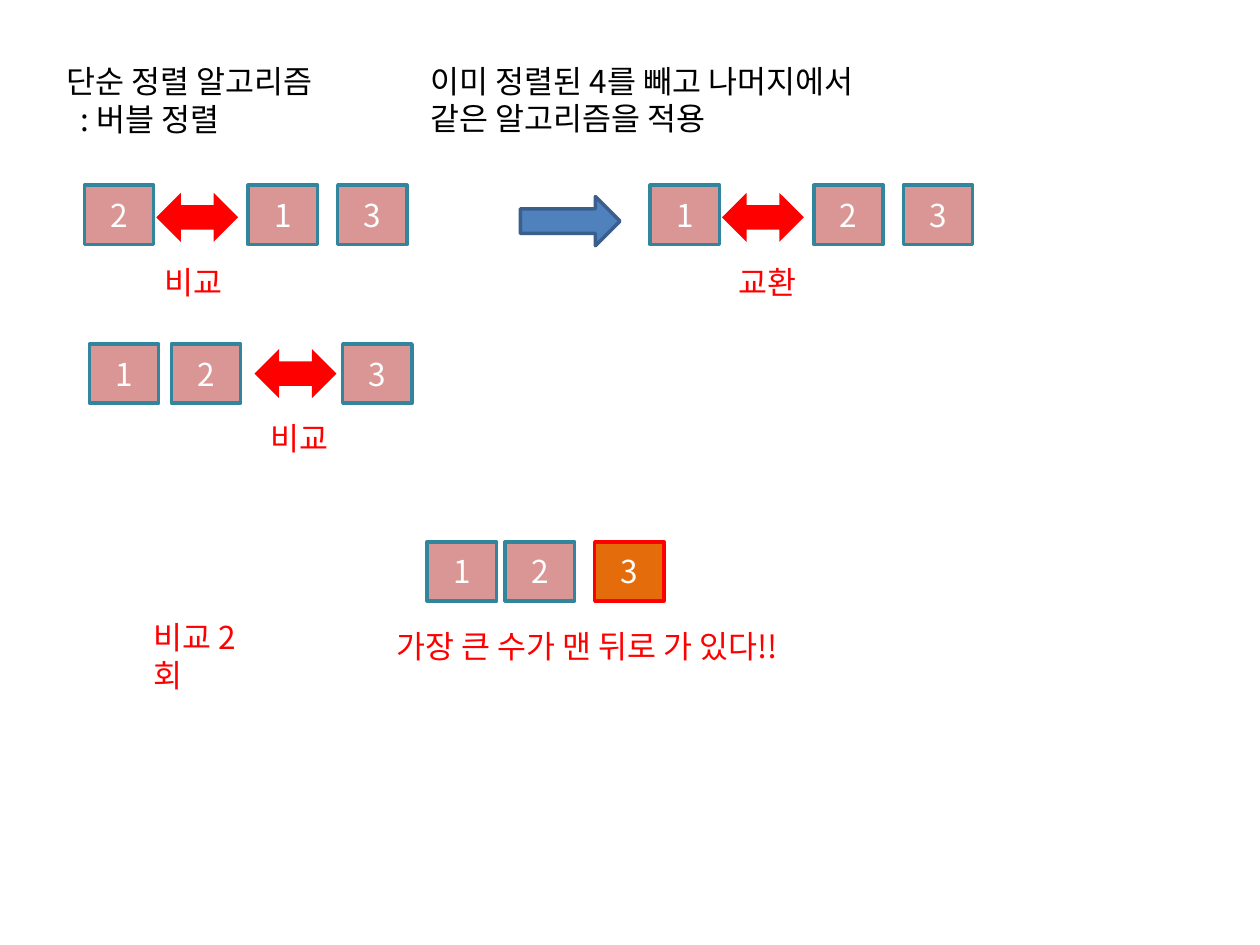
from lxml.etree import SubElement
from pptx import Presentation
from pptx.dml.color import RGBColor
from pptx.enum.shapes import MSO_SHAPE
from pptx.enum.text import MSO_ANCHOR, MSO_AUTO_SIZE, PP_ALIGN
from pptx.oxml.ns import qn
from pptx.util import Inches, Pt

FONT = "Noto Sans CJK KR"
BLACK = RGBColor(0x00, 0x00, 0x00)
WHITE = RGBColor(0xFF, 0xFF, 0xFF)
RED = RGBColor(0xFF, 0x00, 0x00)
PINK = RGBColor(0xD9, 0x96, 0x94)
TEAL = RGBColor(0x31, 0x85, 0x9C)
ORANGE = RGBColor(0xE4, 0x6C, 0x0A)
BLUE = RGBColor(0x4F, 0x81, 0xBD)
NAVY = RGBColor(0x3A, 0x5F, 0x8C)

CELL_WIDTH, CELL_HEIGHT = 0.55, 0.47
SWAP_WIDTH, ARROW_HEIGHT = 0.65, 0.39
LABEL_WIDTH, LINE_HEIGHT, HEADING_HEIGHT = 0.71, 0.4, 0.71
HEADING_TOP, FIRST_TOP, SECOND_TOP, RESULT_TOP = 0.44, 1.47, 2.73, 4.3


def write(frame, lines, color, align=PP_ALIGN.LEFT, anchor=MSO_ANCHOR.TOP):
    """Fill a text frame with one paragraph per line."""
    frame.word_wrap = True
    frame.auto_size = MSO_AUTO_SIZE.NONE
    frame.vertical_anchor = anchor
    for index, line in enumerate(lines):
        para = frame.add_paragraph() if index else frame.paragraphs[0]
        para.alignment = align
        span = para.add_run()
        span.text = line
        span.font.name = FONT
        span.font.size = Pt(18)
        span.font.color.rgb = color
        SubElement(span.font._element, qn("a:ea"), typeface=FONT)


def add_title(slide, lines):
    """Place the slide title at the top left, its second line indented."""
    title = slide.shapes.title
    title.left, title.top = Inches(0.43), Inches(HEADING_TOP)
    title.width, title.height = Inches(2.4), Inches(HEADING_HEIGHT)
    write(title.text_frame, lines, BLACK)
    properties = title.text_frame.paragraphs[1]._p.get_or_add_pPr()
    properties.set("marL", str(Inches(0.11)))


def add_text(slide, left, top, width, lines, color=RED, height=LINE_HEIGHT):
    """Add a left-aligned text box."""
    box = slide.shapes.add_textbox(Inches(left), Inches(top), Inches(width), Inches(height))
    write(box.text_frame, lines, color)


def add_block(slide, kind, left, top, width, height, fill, line=None):
    """Add a filled preset shape, outlined when a line colour is given."""
    block = slide.shapes.add_shape(kind, Inches(left), Inches(top), Inches(width), Inches(height))
    block.shadow.inherit = False
    block.fill.solid()
    block.fill.fore_color.rgb = fill
    if line is None:
        block.line.fill.background()
    else:
        block.line.color.rgb = line
        block.line.width = Pt(2)
    return block


def add_cells(slide, left, top, offsets, numbers, sorted_from=3):
    """Add a row of number cells, highlighting those already sorted."""
    for index, (offset, number) in enumerate(zip(offsets, numbers)):
        fill, line = (ORANGE, RED) if index >= sorted_from else (PINK, TEAL)
        cell = add_block(slide, MSO_SHAPE.RECTANGLE, left + offset, top,
                         CELL_WIDTH, CELL_HEIGHT, fill, line)
        write(cell.text_frame, [number], WHITE, PP_ALIGN.CENTER, MSO_ANCHOR.MIDDLE)


def add_swap(slide, left, top, label, label_left):
    """Add a red double arrow with its label below."""
    add_block(slide, MSO_SHAPE.LEFT_RIGHT_ARROW, left, top, SWAP_WIDTH, ARROW_HEIGHT, RED)
    add_text(slide, label_left, top + 0.51, LABEL_WIDTH, [label])


def main():
    """Build the bubble sort slide."""
    deck = Presentation()
    deck.slide_width, deck.slide_height = Inches(10), Inches(7.5)
    slide = deck.slides.add_slide(deck.slide_layouts[5])

    add_title(slide, ["단순 정렬 알고리즘", ": 버블 정렬"])
    add_text(slide, 3.32, HEADING_TOP, 3.98,
             ["이미 정렬된 4를 빼고 나머지에서", "같은 알고리즘을 적용"], BLACK, HEADING_HEIGHT)

    wide_gap = (0, 1.3, 2.01)
    add_cells(slide, 0.67, FIRST_TOP, wide_gap, "213")
    add_swap(slide, 1.24, 1.53, "비교", 1.21)
    add_block(slide, MSO_SHAPE.RIGHT_ARROW, 4.13, 1.56, 0.79, ARROW_HEIGHT, BLUE, NAVY)
    add_cells(slide, 5.16, FIRST_TOP, wide_gap, "123")
    add_swap(slide, 5.73, 1.53, "교환", 5.76)

    add_cells(slide, 0.71, SECOND_TOP, (0, 0.65, 2.01), "123")
    add_swap(slide, 2.02, 2.77, "비교", 2.05)

    add_cells(slide, 3.39, RESULT_TOP, (0, 0.62, 1.33), "123", sorted_from=2)
    add_text(slide, 3.05, 4.93, 3.66, ["가장 큰 수가 맨 뒤로 가 있다!!"])
    add_text(slide, 1.12, 4.86, 1.05, ["비교 2회"])

    deck.save("out.pptx")


if __name__ == "__main__":
    main()
